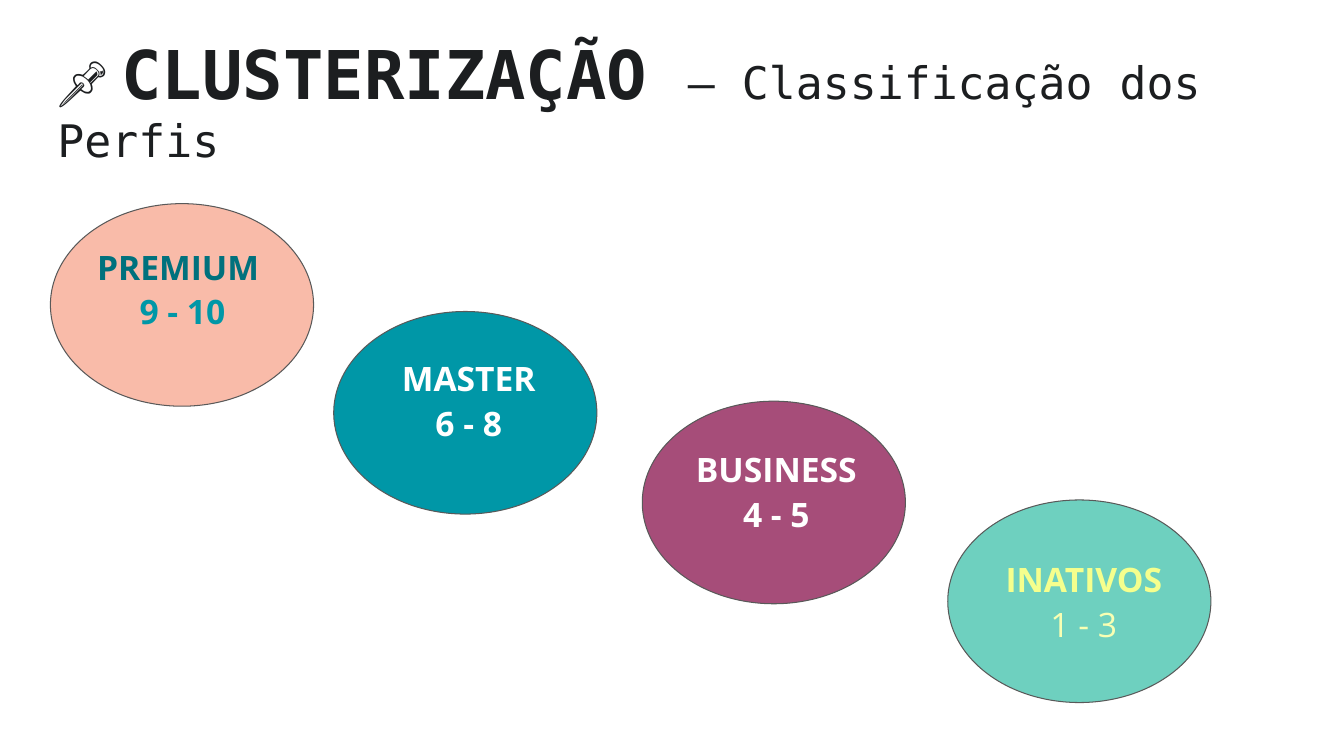
from pptx import Presentation
from pptx.dml.color import RGBColor
from pptx.enum.shapes import MSO_SHAPE as Shape
from pptx.enum.text import MSO_ANCHOR as Anchor, MSO_AUTO_SIZE as Fit, PP_ALIGN as Align
from pptx.util import Inches, Pt

HEX = {
    "ink": "1C1E20", "edge": "595959", "white": "FFFFFF",
    "peach": "F9BBA9", "deep": "00717D", "teal": "0097A7",
    "plum": "A64D79", "mint": "6ED0BF", "lemon": "F5FF8D", "pale": "F8FFB3",
}
WIDE, HIGH = 2.61, 2.01

# left, top, fill, shift of the label, name, its colour, range, its colour, bold range
GROUPS = [
    (0.5, 2.02, "peach", (-0.09, 0.47), "PREMIUM ", "deep", "9 - 10", "teal", True),
    (3.31, 3.09, "teal", (-0.06, 0.51), "MASTER", "white", "6 - 8", "white", True),
    (6.37, 3.98, "plum", (-0.07, 0.52), "BUSINESS", "white", "4 - 5", "white", True),
    (9.4, 4.96, "mint", (-0.05, 0.63), "INATIVOS", "lemon", "1 - 3", "pale", False),
]


def color(name):
    return RGBColor.from_string(HEX[name])


def write(para, text, size=24, face="Open Sans", ink="ink", bold=True):
    run = para.add_run()
    run.text = text
    font = run.font
    font.size, font.name, font.bold = Pt(size), face, bold
    font.color.rgb = color(ink)


def reset(frame):
    """Clear the margins, wrap the text and keep the box size."""
    frame.margin_left = frame.margin_right = 0
    frame.margin_top = frame.margin_bottom = 0
    frame.word_wrap = True
    frame.auto_size = Fit.NONE


def head(slide, left, top, width, height):
    title = slide.shapes.title
    title.left, title.top = Inches(left), Inches(top)
    title.width, title.height = Inches(width), Inches(height)
    frame = title.text_frame
    reset(frame)
    frame.vertical_anchor = Anchor.BOTTOM
    para = frame.paragraphs[0]
    para.alignment = Align.LEFT
    write(para, "📌 ", size=36, face="Arial")
    write(para, "CLUSTERIZAÇÃO ", size=48, face="DejaVu Sans Mono")
    write(para, "– Classificação dos Perfis", size=32, face="DejaVu Sans Mono", bold=False)


def bubble(slide, left, top, fill, shift, name, ink, span, tint, bold):
    oval = slide.shapes.add_shape(
        Shape.OVAL, Inches(left), Inches(top), Inches(WIDE), Inches(HIGH))
    oval.shadow.inherit = False
    oval.fill.solid()
    oval.fill.fore_color.rgb = color(fill)
    oval.line.color.rgb = color("edge")
    oval.line.width = Pt(0.75)

    dx, dy = shift
    label = slide.shapes.add_textbox(
        Inches(left + dx), Inches(top + dy), Inches(2.8), Inches(1.49))
    frame = label.text_frame
    reset(frame)
    first, second = frame.paragraphs[0], frame.add_paragraph()
    for para in (first, second):
        para.alignment = Align.CENTER
        para.line_spacing = 0.9
    second.space_before = Pt(6)
    write(first, name, ink=ink)
    write(second, span, ink=tint, bold=bold)


def main():
    deck = Presentation()
    deck.slide_width, deck.slide_height = Inches(13.33), Inches(7.5)
    slide = deck.slides.add_slide(deck.slide_layouts[5])
    head(slide, 0.57, 0.77, 12.39, 0.88)
    for group in GROUPS:
        bubble(slide, *group)
    deck.save("out.pptx")


if __name__ == "__main__":
    main()
